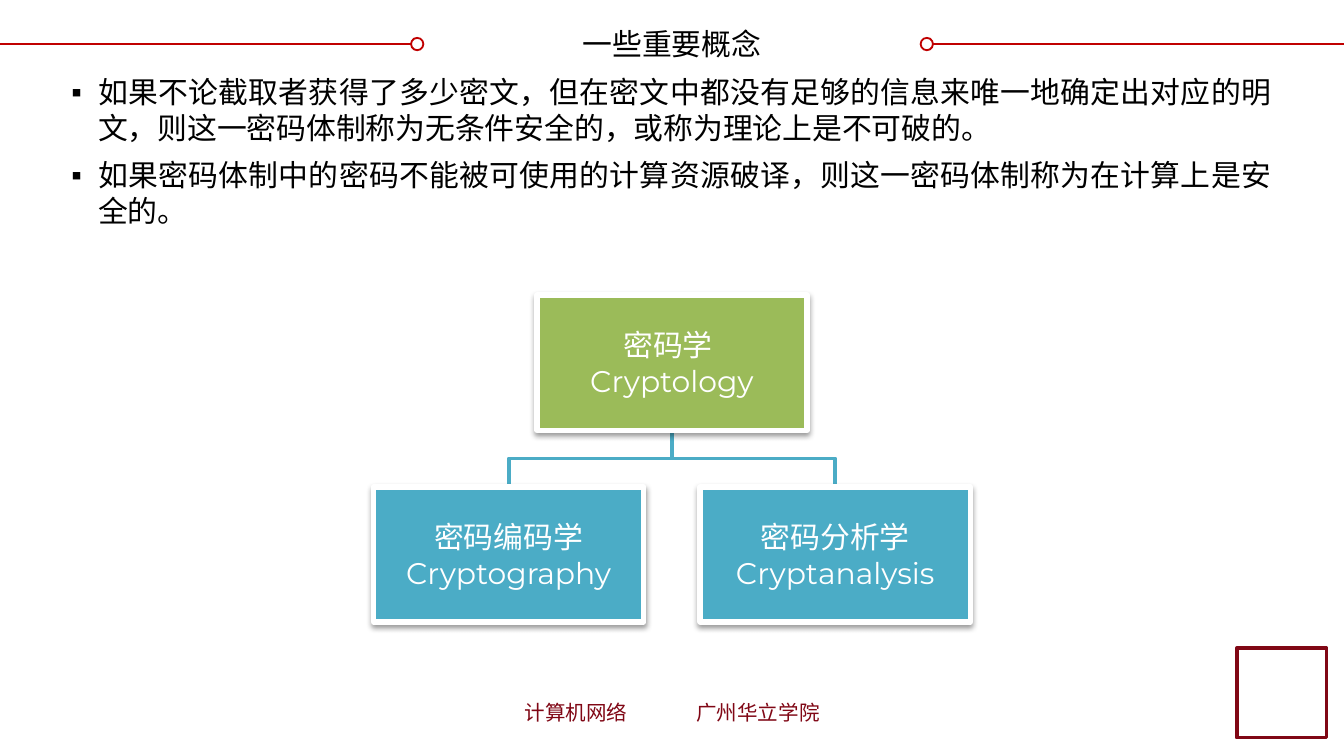
from dataclasses import dataclass

from lxml import etree
from pptx import Presentation
from pptx.dml.color import RGBColor
from pptx.enum import shapes, text
from pptx.oxml import ns
from pptx.util import Pt


@dataclass(frozen=True)
class Theme:
    black: str = "000000"
    white: str = "FFFFFF"
    rule: str = "C00000"
    maroon: str = "800715"
    root: str = "9BBB59"
    branch: str = "4BACC6"
    cjk: str = "Noto Sans CJK SC"
    latin: str = "Montserrat"
    size: int = 16
    footer_size: int = 11


def rgb(value):
    return RGBColor.from_string(value)


def put(parent, tag, **attrs):
    el = etree.SubElement(parent, ns.qn(tag))
    for name, value in attrs.items():
        el.set(name, str(value))
    return el


class Builder:
    """Holds the theme and the current slide."""

    def __init__(self, s, theme):
        self.s, self.t = s, theme

    def place(self, sp, x, y, w, h):
        box = dict(left=x, top=y, width=w, height=h)
        for name, value in box.items():
            setattr(sp, name, Pt(value))

    def frame(self, tf, insets, anchor, auto=text.MSO_AUTO_SIZE.NONE):
        left, top, right, bottom = insets
        fmt = dict(margin_left=Pt(left), margin_top=Pt(top),
                   margin_right=Pt(right), margin_bottom=Pt(bottom),
                   vertical_anchor=anchor, word_wrap=True, auto_size=auto)
        for name, value in fmt.items():
            setattr(tf, name, value)

    def fill_text(self, tf, lines, align, font, color, size=None, after=0, prepare=None):
        for i, line in enumerate(lines):
            p = tf.paragraphs[0] if i == 0 else tf.add_paragraph()
            if prepare:
                prepare(p._p.get_or_add_pPr())
            fmt = dict(alignment=align, space_before=Pt(0), space_after=Pt(after))
            for name, value in fmt.items():
                setattr(p, name, value)
            r = p.add_run()
            r.text = line
            r.font.name = font
            r.font.size = Pt(size or self.t.size)
            r.font.color.rgb = rgb(color)
            put(r._r.get_or_add_rPr(), "a:ea", typeface=font)

    def title(self, line, box):
        sp = self.s.shapes.title
        self.place(sp, *box)
        self.frame(sp.text_frame, (7.2, 3.6, 7.2, 3.6), text.MSO_ANCHOR.MIDDLE,
                   text.MSO_AUTO_SIZE.SHAPE_TO_FIT_TEXT)
        self.fill_text(sp.text_frame, [line], text.PP_ALIGN.CENTER, self.t.cjk,
                       self.t.black)

    def bullets(self, lines, box):
        def square(pPr):
            pPr.set("marL", str(Pt(14.4)))
            pPr.set("indent", str(-Pt(14.4)))
            put(pPr, "a:buChar", char="▪")

        sp = self.s.placeholders[1]
        self.place(sp, *box)
        self.frame(sp.text_frame, (0, 3, 0, 3), text.MSO_ANCHOR.TOP)
        self.fill_text(sp.text_frame, lines, text.PP_ALIGN.JUSTIFY, self.t.latin,
                       self.t.black, after=6, prepare=square)

    def footer(self, left, right, box, inset, tab):
        def stop(pPr):
            put(put(pPr, "a:tabLst"), "a:tab", pos=Pt(tab), algn="l")

        sp = self.s.shapes.add_textbox(*map(Pt, box))
        self.frame(sp.text_frame, (inset, 3.6, 0, 3.6), text.MSO_ANCHOR.TOP)
        self.fill_text(sp.text_frame, [f"{left}\t{right}"], text.PP_ALIGN.LEFT,
                       self.t.cjk, self.t.maroon, self.t.footer_size, prepare=stop)

    def line(self, x1, x2, y):
        c = self.s.shapes.add_connector(shapes.MSO_CONNECTOR.STRAIGHT,
                                        Pt(x1), Pt(y), Pt(x2), Pt(y))
        c.line.color.rgb, c.line.width = rgb(self.t.rule), Pt(1)
        put(c._element.spPr, "a:effectLst")

    def shape(self, kind, box, fill, outline, width):
        sp = self.s.shapes.add_shape(kind, *map(Pt, box))
        sp.shadow.inherit = False
        sp.fill.solid()
        sp.fill.fore_color.rgb = rgb(fill)
        sp.line.color.rgb, sp.line.width = rgb(outline), Pt(width)
        return sp

    def elbow(self, x1, y1, x2, y2):
        mid = (y1 + y2) / 2
        fb = self.s.shapes.build_freeform(Pt(x1), Pt(y1))
        fb.add_line_segments([(Pt(x), Pt(y)) for x, y in
                              ((x1, mid), (x2, mid), (x2, y2))], close=False)
        sp = fb.convert_to_shape()
        sp.shadow.inherit = False
        sp.fill.background()
        sp.line.color.rgb, sp.line.width = rgb(self.t.branch), Pt(2)

    def node(self, lines, box, fill):
        sp = self.shape(shapes.MSO_SHAPE.RECTANGLE, box, fill, self.t.white, 3)
        effects = sp._element.spPr.find(ns.qn("a:effectLst"))
        shadow = put(effects, "a:outerShdw", blurRad=Pt(3.1), dist=Pt(1.6),
                     dir=5400000, rotWithShape=0)
        put(put(shadow, "a:srgbClr", val=self.t.black), "a:alpha", val=38000)
        self.frame(sp.text_frame, (0.8,) * 4, text.MSO_ANCHOR.MIDDLE)
        self.fill_text(sp.text_frame, lines, text.PP_ALIGN.CENTER, self.t.latin,
                       self.t.white)


def main():
    prs = Presentation()
    prs.slide_width, prs.slide_height = Pt(720), Pt(405)
    theme = Theme()
    b = Builder(prs.slides.add_slide(prs.slide_layouts[1]), theme)

    # Header rules with a ring at each inner end
    rule_y, ring = 23.6, 6.6
    for start, end, ring_x in ((0, 226.8, 220.2), (493.2, 720, 493.2)):
        b.line(start, end, rule_y)
        b.shape(shapes.MSO_SHAPE.OVAL, (ring_x, rule_y - ring / 2, ring, ring),
                theme.white, theme.rule, 1)

    # Footer and corner frame
    b.footer("计算机网络", "广州华立学院", (267.5, 371.5, 185, 21), 13.5, 92)
    b.shape(shapes.MSO_SHAPE.RECTANGLE, (662.6, 347.2, 48, 48),
            theme.white, theme.maroon, 2)

    # Title and definitions
    b.title("一些重要概念", (226.8, 10.3, 266.4, 26.6))
    b.bullets([
        "如果不论截取者获得了多少密文，但在密文中都没有足够的信息来唯一地确定出对应的明文，则这一密码体制称为无条件安全的，或称为理论上是不可破的。",
        "如果密码体制中的密码不能被可使用的计算资源破译，则这一密码体制称为在计算上是安全的。",
    ], (38.2, 36.7, 643.7, 325.4))

    # Hierarchy: one root above two branches
    w, h, center, spread = 144.7, 72.4, 360, 87.5
    root_y, branch_y = 158.2, 260.8
    branches = ((center - spread, "密码编码学 Cryptography"),
                (center + spread, "密码分析学 Cryptanalysis"))
    for x, _ in branches:
        b.elbow(center, root_y + h, x, branch_y)
    b.node(["密码学 ", "Cryptology"], (center - w / 2, root_y, w, h), theme.root)
    for x, label in branches:
        b.node([label], (x - w / 2, branch_y, w, h), theme.branch)

    prs.save("out.pptx")


if __name__ == "__main__":
    main()
